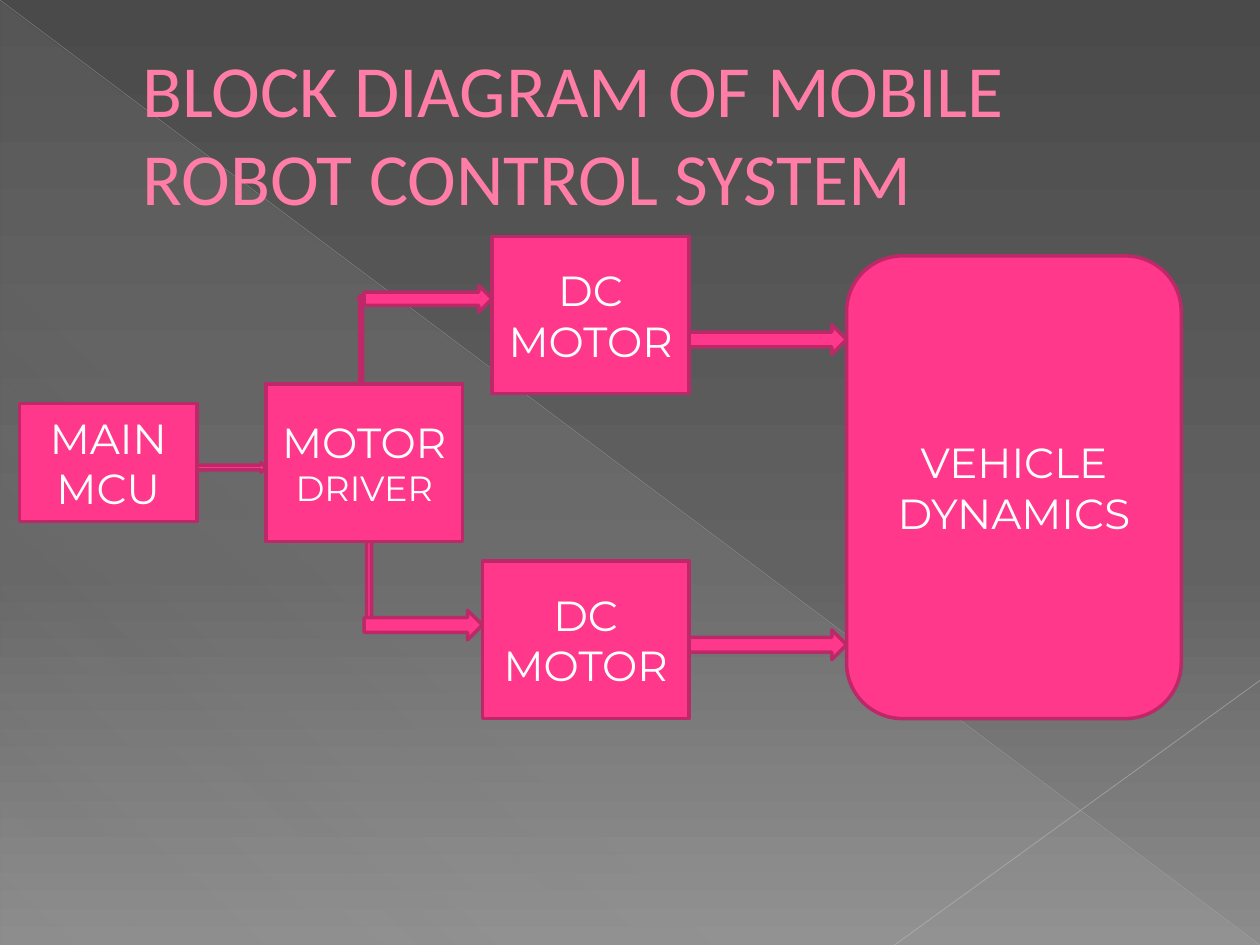
from pptx import Presentation
from pptx.dml.color import RGBColor
from pptx.enum.shapes import MSO_CONNECTOR, MSO_SHAPE
from pptx.enum.text import MSO_ANCHOR, MSO_AUTO_SIZE, PP_ALIGN
from pptx.oxml.ns import qn
from pptx.util import Inches, Pt
from lxml.etree import SubElement

hues = {
    "top": "4A4A4A", "mid": "626262", "low": "8C8C8C",
    "haze": "D2D2D2", "fall": "BFBFBF", "rise": "C6C6C6",
    "title": "FF7DA7", "fill": "FF388C", "edge": "BD2968", "text": "FFFFFF",
}
tint = {name: RGBColor.from_string(code) for name, code in hues.items()}

deck = Presentation()
deck.slide_width, deck.slide_height = Inches(10), Inches(7.5)
wide, high = deck.slide_width, deck.slide_height
unit = wide / 128
slide = deck.slides.add_slide(deck.slide_layouts[5])
tree = slide.shapes


def blend(grad, stops, angle):
    band = grad.find(qn("a:gsLst"))
    for old in list(band):
        band.remove(old)
    for spot, name, alpha in stops:
        stop = SubElement(band, qn("a:gs"), pos=str(spot * 1000))
        color = SubElement(stop, qn("a:srgbClr"), val=hues[name])
        if alpha < 100:
            SubElement(color, qn("a:alpha"), val=str(alpha * 1000))
    grad.find(qn("a:lin")).set("ang", str(angle * 60000))


def place(kind, col, row, cols, rows):
    shape = tree.add_shape(kind, *(int(n * unit) for n in (col, row, cols, rows)))
    shape.shadow.inherit = False
    shape.fill.solid()
    shape.fill.fore_color.rgb = tint["fill"]
    shape.line.color.rgb = tint["edge"]
    shape.line.width = Pt(2)
    return shape


slide.background.fill.gradient()
blend(slide.element.xpath("./p:cSld/p:bg//a:gradFill")[0],
      [(0, "top", 100), (60, "mid", 100), (100, "low", 100)], 90)

veil = place(MSO_SHAPE.RIGHT_TRIANGLE, 0.1, 0.2, 127.8, 95.8)
veil.line.fill.background()
veil.fill.gradient()
blend(veil.element.xpath(".//a:gradFill")[0],
      [(0, "haze", 10), (70, "haze", 8), (100, "haze", 1)], 133)

rays = [
    ((0, 0, 1, 1), "fall", 0.39, 35),
    ((1, 0.72, 0.71, 1), "rise", 0.47, 45),
]
for (x1, y1, x2, y2), name, thick, alpha in rays:
    ray = tree.add_connector(MSO_CONNECTOR.STRAIGHT, int(x1 * wide), int(y1 * high),
                             int(x2 * wide), int(y2 * high))
    ray.line.width = Pt(thick)
    ray.line.color.rgb = tint[name]
    color = ray.element.xpath(".//a:ln//a:srgbClr")[0]
    SubElement(color, qn("a:alpha"), val=str(alpha * 1000))
    SubElement(ray.element.spPr, qn("a:effectLst"))

title = tree.title
tree.element.append(title.element)
spots = {"left": 0.05, "top": 0.04, "width": 0.9, "height": 0.2}
for name, share in spots.items():
    setattr(title, name, int(share * (wide if name in ("left", "width") else high)))
frame = title.text_frame
frame.text = "BLOCK DIAGRAM OF MOBILE ROBOT CONTROL SYSTEM"
form = {"word_wrap": True, "auto_size": MSO_AUTO_SIZE.NONE,
        "vertical_anchor": MSO_ANCHOR.MIDDLE}
for name, value in form.items():
    setattr(frame, name, value)
para = frame.paragraphs[0]
para.alignment = PP_ALIGN.LEFT
para._p.get_or_add_pPr().set("marL", str(Inches(0.53)))
font = para.runs[0].font
font.name, font.size = "Calibri", Pt(42)
font.color.rgb = tint["title"]

arrows = [
    (MSO_SHAPE.RIGHT_ARROW, 20, 47, 7, 1),
    (MSO_SHAPE.UP_ARROW, 36.4, 30, 0.6, 9),
    (MSO_SHAPE.RIGHT_ARROW, 37, 29, 13, 2.7),
    (MSO_SHAPE.DOWN_ARROW, 37, 55, 1, 9),
    (MSO_SHAPE.RIGHT_ARROW, 37, 62, 12, 3),
    (MSO_SHAPE.RIGHT_ARROW, 70, 33, 16, 3),
    (MSO_SHAPE.RIGHT_ARROW, 70, 64, 16, 3),
]
for arrow in arrows:
    place(*arrow)

motor = [[("DC MOTOR", 24)]]
boxes = [
    (MSO_SHAPE.RECTANGLE, (2, 41, 18, 12), [[("MAIN MCU", 24)]]),
    (MSO_SHAPE.RECTANGLE, (27, 39, 20, 16), [[("MOTOR ", 24), ("DRIVER", 20)]]),
    (MSO_SHAPE.RECTANGLE, (50, 24, 20, 16), motor),
    (MSO_SHAPE.RECTANGLE, (49, 57, 21, 16), motor),
    (MSO_SHAPE.ROUNDED_RECTANGLE, (86, 26, 34, 47),
     [[("VEHICLE", 24)], [("DYNAMICS", 24)]]),
]
for kind, cell, lines in boxes:
    frame = place(kind, *cell).text_frame
    frame.word_wrap = True
    frame.vertical_anchor = MSO_ANCHOR.MIDDLE
    for i, line in enumerate(lines):
        para = frame.add_paragraph() if i else frame.paragraphs[0]
        para.alignment = PP_ALIGN.CENTER
        for words, size in line:
            run = para.add_run()
            run.text = words
            for name, value in {"name": "Montserrat", "size": Pt(size)}.items():
                setattr(run.font, name, value)
            run.font.color.rgb = tint["text"]

deck.save("out.pptx")
